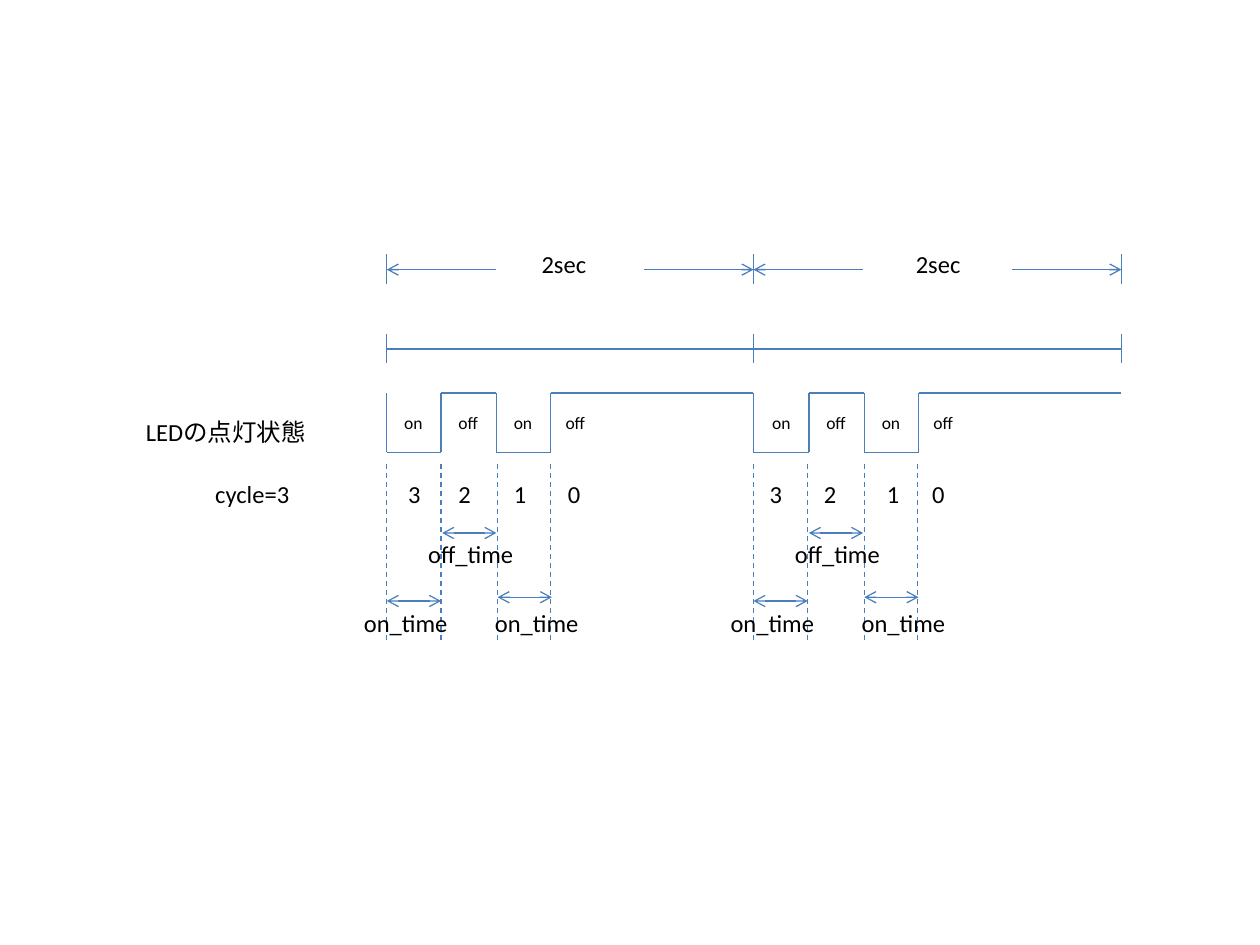
from itertools import pairwise
from pptx import Presentation
from pptx.dml.color import RGBColor
from pptx.enum.dml import MSO_LINE
from pptx.enum.shapes import MSO_CONNECTOR
from pptx.enum.text import MSO_AUTO_SIZE
from pptx.oxml.ns import qn
from pptx.util import Inches, Pt
from lxml.etree import SubElement

BLUE = "4B7EBC"
BLACK = "000000"
EDGES = [3.07, 5.98, 8.9]
SECS = [4.2, 7.17]
COUNTS = [[3.14, 3.54, 3.98, 4.41], [6.01, 6.44, 6.94, 7.3]]
SHIFTS = [0, 0.01]
HIGH, LOW = 3.12, 3.59


def paint(color, code):
    color.rgb = RGBColor.from_string(code)


def line(slide, x1, y1, x2, y2, dash=False, ends=()):
    shape = slide.shapes.add_connector(
        MSO_CONNECTOR.STRAIGHT, Inches(x1), Inches(y1), Inches(x2), Inches(y2))
    paint(shape.line.color, BLUE)
    shape.line.width = Pt(0.75)
    if dash:
        shape.line.dash_style = MSO_LINE.DASH
    props = shape._element.spPr
    for end in ends:
        SubElement(props.find(qn("a:ln")), qn(f"a:{end}End"), type="arrow")
    SubElement(props, qn("a:effectLst"))


def label(slide, text, x, y, width, size=14, wrap=False):
    height = 0.34 if size == 14 else 0.27
    box = slide.shapes.add_textbox(
        Inches(x), Inches(y), Inches(width), Inches(height))
    frame = box.text_frame
    frame.word_wrap = wrap
    frame.auto_size = MSO_AUTO_SIZE.SHAPE_TO_FIT_TEXT
    para = frame.paragraphs[0]
    para.text = text
    para.font.name = "Calibri"
    para.font.size = Pt(size)
    paint(para.font.color, BLACK)


def scale(slide):
    for x in EDGES:
        line(slide, x, 2.02, x, 2.25)
        line(slide, x, 2.65, x, 2.88)
    for (left, right), x in zip(pairwise(EDGES), SECS):
        line(slide, left, 2.77, right, 2.77)
        line(slide, left, 2.14, left + 0.87, 2.14, ends=["head"])
        line(slide, right - 0.87, 2.14, right, 2.14, ends=["tail"])
        label(slide, "2sec", x, 1.93, 0.56)


def wave(slide, left, right, shift):
    steps = [left] + [left + shift + d for d in (0.43, 0.87, 1.3)]
    for x in steps:
        line(slide, x, HIGH, x, LOW)
    for (start, stop), y in zip(pairwise(steps + [right]), [LOW, HIGH] * 2):
        line(slide, start, y, stop, y)
    for text, gap in zip(["on", "off"] * 2, [0.04, 0.47, 0.91, 1.32]):
        label(slide, text, left + shift + gap, 3.22, 0.36, 10)


def times(slide, left):
    for gap in (0, 0.43, 0.88, 1.3):
        line(slide, left + gap, 3.68, left + gap, 5.09, dash=True)
    for gap, y in ((0, 4.77), (0.44, 4.23), (0.88, 4.74)):
        line(slide, left + gap, y, left + gap + 0.43, y, ends=["head", "tail"])
    label(slide, "on_time", left - 0.28, 4.78, 0.87)
    label(slide, "off_time", left + 0.23, 4.23, 0.89)
    label(slide, "on_time", left + 0.76, 4.78, 0.87)


def main():
    deck = Presentation()
    deck.slide_width, deck.slide_height = Inches(10), Inches(7.5)
    slide = deck.slides.add_slide(deck.slide_layouts[6])
    scale(slide)
    label(slide, "LEDの点灯状態", 1.06, 3.26, 1.48, wrap=True)
    label(slide, "cycle=3", 1.61, 3.75, 0.82)
    for (left, right), shift, spots in zip(pairwise(EDGES), SHIFTS, COUNTS):
        wave(slide, left, right, shift)
        for text, x in zip("3210", spots):
            label(slide, text, x, 3.75, 0.3)
        times(slide, left)
    deck.save("out.pptx")


if __name__ == "__main__":
    main()
